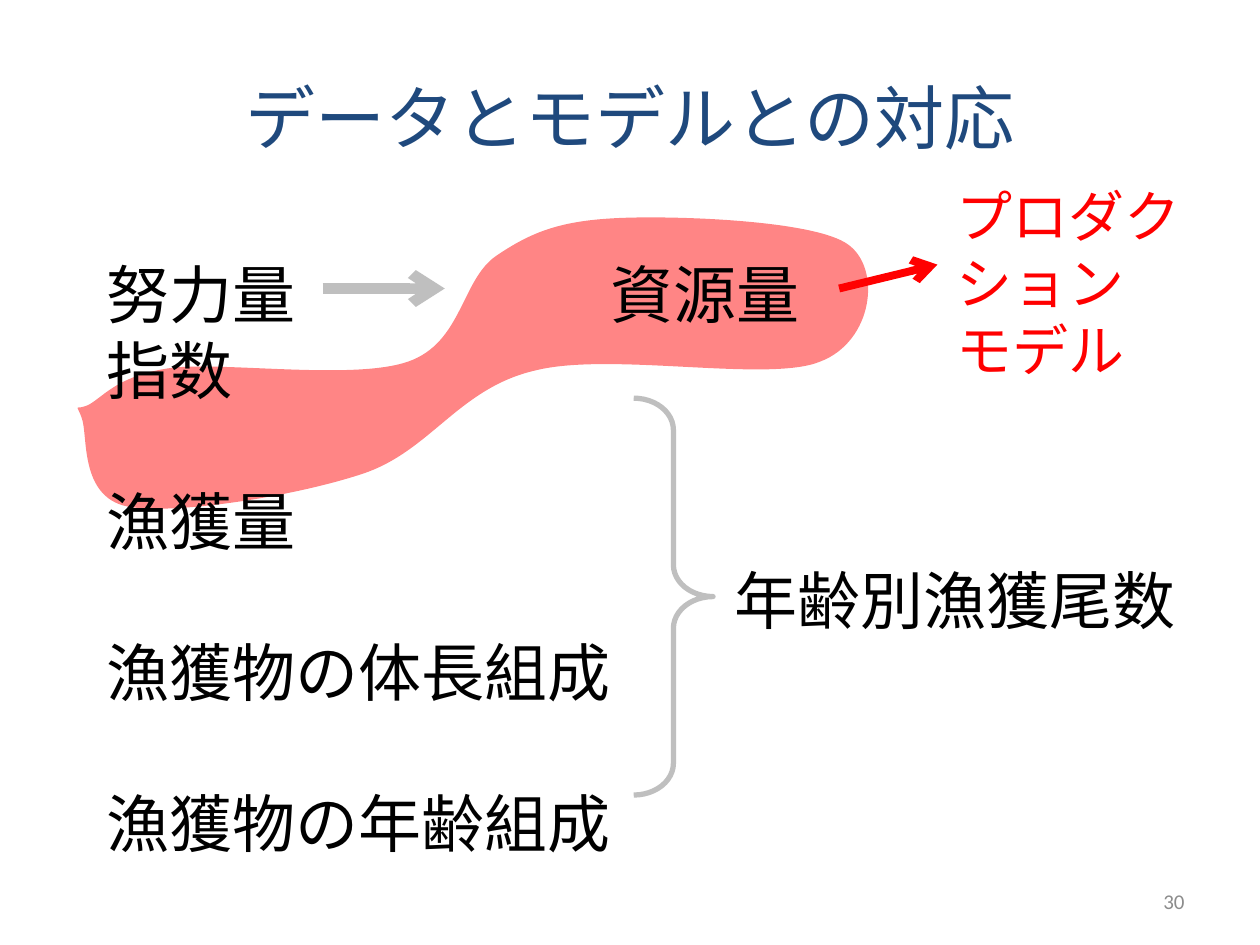
from lxml.etree import SubElement
from pptx import Presentation
from pptx.dml.color import RGBColor
from pptx.enum.shapes import MSO_CONNECTOR, MSO_SHAPE
from pptx.enum.text import MSO_ANCHOR, PP_ALIGN
from pptx.oxml.ns import qn
from pptx.util import Inches, Pt

COLORS = {"title": "1F497D", "text": "000000", "accent": "FF0000",
          "gray": "BFBFBF", "number": "8C8C8C"}
FONT = "Calibri"

TITLE = "データとモデルとの対応"
DATA_ITEMS = ["努力量\t資源量指数", "漁獲量", "漁獲物の体長組成", "漁獲物の年齢組成"]
MODEL_LINES = ["プロダク", "ション", "モデル"]
CATCH_AT_AGE = "年齢別漁獲尾数"
SLIDE_NUMBER = "30"

# start, end, colour, width in points
ARROWS = [((2.56, 2.29), (3.53, 2.29), "gray", 6),
          ((6.66, 2.29), (7.44, 2.1), "accent", 4.5)]

# Each curve: first control point, second control point, end point
BAND_BOX = (0.62, 1.73, 6.27, 2.31)
BAND_START = (0.71, 3.21)
BAND_CURVES = [
    ((0.83, 3.14), (0.94, 2.98), (1.36, 2.92)),
    ((1.79, 2.87), (2.81, 3.02), (3.24, 2.87)),
    ((3.67, 2.72), (3.66, 2.22), (3.94, 2.03)),
    ((4.22, 1.84), (4.45, 1.75), (4.92, 1.73)),
    ((5.38, 1.71), (6.47, 1.75), (6.73, 1.94)),
    ((7, 2.13), (6.93, 2.71), (6.51, 2.87)),
    ((6.1, 3.04), (4.85, 2.79), (4.25, 2.94)),
    ((3.64, 3.08), (3.42, 3.58), (2.88, 3.76)),
    ((2.34, 3.94), (1.38, 4.09), (1.01, 4.02)),
    ((0.63, 3.94), (0.7, 3.46), (0.65, 3.32)),
    ((0.6, 3.18), (0.59, 3.27), BAND_START),
]


def rgb(name):
    return RGBColor.from_string(COLORS[name])


def place(shape, box):
    shape.left, shape.top, shape.width, shape.height = map(Inches, box)


def write_text(shape, lines, size, color, align=PP_ALIGN.LEFT,
               anchor=MSO_ANCHOR.TOP, wrap=True, gap=0, tab=None):
    """Fill a text shape; gap is points between paragraphs, tab a stop in inches."""
    frame = shape.text_frame
    frame.word_wrap = wrap
    frame.vertical_anchor = anchor
    for index, line in enumerate(lines):
        paragraph = frame.add_paragraph() if index else frame.paragraphs[0]
        paragraph.text = line
        paragraph.alignment = align
        if index and gap:
            paragraph.space_before = Pt(gap)
        if tab and "\t" in line:
            tab_list = SubElement(paragraph._p.get_or_add_pPr(), qn("a:tabLst"))
            SubElement(tab_list, qn("a:tab"), pos=str(Inches(tab)), algn="l")
        for run in paragraph.runs:
            run.font.name = FONT
            run.font.size = Pt(size)
            run.font.color.rgb = rgb(color)


def add_text(slide, box, lines, **text_format):
    shape = slide.shapes.add_textbox(*map(Inches, box))
    write_text(shape, lines, **text_format)


def add_curve(path, tag, points):
    """Append a path command with its points measured from the band's corner."""
    command = SubElement(path, qn(tag))
    for x, y in points:
        SubElement(command, qn("a:pt"), x=str(Inches(x - BAND_BOX[0])),
                   y=str(Inches(y - BAND_BOX[1])))


def add_band(slide):
    builder = slide.shapes.build_freeform(*map(Inches, BAND_START))
    builder.add_line_segments([tuple(map(Inches, curve[-1])) for curve in BAND_CURVES])
    band = builder.convert_to_shape()
    place(band, BAND_BOX)
    path = next(band._element.iter(qn("a:path")))
    for command in list(path):
        path.remove(command)
    path.set("w", str(band.width))
    path.set("h", str(band.height))
    add_curve(path, "a:moveTo", [BAND_START])
    for curve in BAND_CURVES:
        add_curve(path, "a:cubicBezTo", curve)
    SubElement(path, qn("a:close"))

    band.shadow.inherit = False
    band.line.fill.background()
    band.fill.solid()
    band.fill.fore_color.rgb = rgb("accent")
    color = band._element.spPr.find(qn("a:solidFill"))[0]
    SubElement(color, qn("a:alpha"), val="48000")


def add_brace(slide):
    brace = slide.shapes.add_shape(MSO_SHAPE.RIGHT_BRACE, Inches(5.03), Inches(3.16),
                                   Inches(0.63), Inches(3.15))
    brace.adjustments[0] = 0.4
    brace.adjustments[1] = 0.5
    brace.shadow.inherit = False
    brace.fill.background()
    brace.line.color.rgb = rgb("gray")
    brace.line.width = Pt(3)


def add_arrow(slide, start, end, color, width):
    arrow = slide.shapes.add_connector(MSO_CONNECTOR.STRAIGHT, *map(Inches, start + end))
    arrow.line.color.rgb = rgb(color)
    arrow.line.width = Pt(width)
    SubElement(arrow.line._get_or_add_ln(), qn("a:tailEnd"), type="arrow")
    SubElement(arrow._element.spPr, qn("a:effectLst"))


def main():
    presentation = Presentation()
    presentation.slide_width = Inches(10)
    presentation.slide_height = Inches(7.5)
    slide = presentation.slides.add_slide(presentation.slide_layouts[5])

    add_band(slide)
    place(slide.shapes.title, (0.5, 0.3, 9, 1.25))
    write_text(slide.shapes.title, [TITLE], size=40, color="title",
               align=PP_ALIGN.CENTER, anchor=MSO_ANCHOR.MIDDLE)
    add_brace(slide)
    add_text(slide, (5.73, 4.41, 3.74, 0.71), [CATCH_AT_AGE], size=36, color="text",
             wrap=False)
    for arrow in ARROWS:
        add_arrow(slide, *arrow)
    add_text(slide, (7.49, 1.39, 2.5, 1.72), MODEL_LINES, size=32, color="accent")
    add_text(slide, (0.75, 1.98, 5.92, 5.5), DATA_ITEMS, size=36, color="text",
             gap=43.2, tab=4)
    add_text(slide, (7.17, 6.95, 2.33, 0.4), [SLIDE_NUMBER], size=12, color="number",
             align=PP_ALIGN.RIGHT, anchor=MSO_ANCHOR.MIDDLE)
    presentation.save("out.pptx")


if __name__ == "__main__":
    main()
